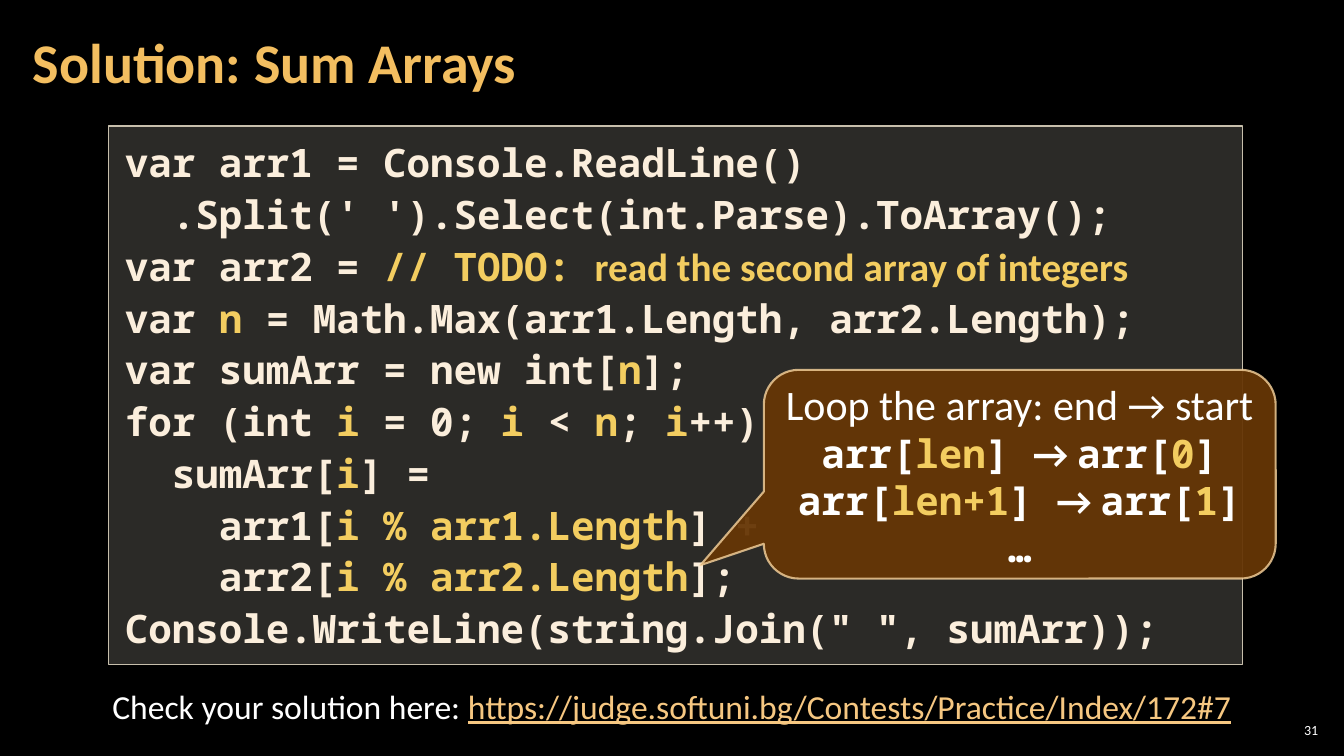
from dataclasses import dataclass

from lxml import etree
from pptx import Presentation
from pptx import util as u
from pptx.dml import color
from pptx.enum import shapes, text
from pptx.oxml import ns


@dataclass(frozen=True)
class Theme:
    sans: str = "Calibri"
    mono: str = "Noto Sans Mono"
    back: str = "000000"
    white: str = "FFFFFF"
    title: str = "F3BE60"
    code: str = "FBEEDC"
    mark: str = "F3CD60"
    link: str = "F6C781"
    panel: str = "D9D5C7"
    edge: str = "C7BFAC"
    note: str = "663606"
    rim: str = "F8D49E"
    head_size: int = 40
    lead_size: int = 30
    code_size: int = 28
    link_size: int = 24
    num_size: int = 10


THEME = Theme()
MARK, SANS = "|", "^"

CODE = [
    "var arr1 = Console.ReadLine()",
    "  .Split(' ').Select(int.Parse).ToArray();",
    "var arr2 = |// TODO: ||^read the second array of integers",
    "var |n| = Math.Max(arr1.Length, arr2.Length);",
    "var sumArr = new int[|n|];",
    "for (int |i| = 0; |i| < |n|; |i|++)",
    "  sumArr[|i|] =",
    "    arr1[|i % arr1.Length|] +",
    "    arr2[|i % arr2.Length|];",
    'Console.WriteLine(string.Join(" ", sumArr));',
]
LOOP = ["arr[|len|] ||^→ ||arr[|0|]", "arr[|len+1|] ||^→ ||arr[|1|]", "…"]


def rgb(tint):
    return color.RGBColor.from_string(tint)


def style(run, face, size, tint, bold=False):
    font = run.font
    font.name, font.size, font.bold = face, u.Pt(size), bold
    font.color.rgb = rgb(tint)


def fade(fill, alpha):
    tint = fill._xPr.find(".//" + ns.qn("a:srgbClr"))
    etree.SubElement(tint, ns.qn("a:alpha")).set("val", str(alpha * 1000))


def paint(shape, fill, alpha, line, width):
    shape.shadow.inherit = False
    shape.fill.solid()
    shape.fill.fore_color.rgb = rgb(fill)
    fade(shape.fill, alpha)
    shape.line.color.rgb = rgb(line)
    shape.line.width = u.Pt(width)


def frame(shape, side, edge, anchor):
    body = shape.text_frame
    body.word_wrap = True
    body.auto_size = text.MSO_AUTO_SIZE.NONE
    body.margin_left = body.margin_right = u.Cm(side)
    body.margin_top = body.margin_bottom = u.Cm(edge)
    body.vertical_anchor = anchor
    return body


def code_line(para, line, tint):
    for pos, part in enumerate(line.split(MARK)):
        if part:
            run = para.add_run()
            run.text = part.lstrip(SANS)
            face = THEME.sans if part.startswith(SANS) else THEME.mono
            style(run, face, THEME.code_size, THEME.mark if pos % 2 else tint, True)


def title(slide, box, words):
    head = slide.shapes.title
    head.left, head.top, head.width, head.height = map(u.Cm, box)
    body = frame(head, 0.3, 0.1, text.MSO_ANCHOR.MIDDLE)
    body.text = words
    para = body.paragraphs[0]
    para.alignment = text.PP_ALIGN.LEFT
    para.line_spacing = 0.9
    style(para.runs[0], THEME.sans, THEME.head_size, THEME.title, True)


def code_panel(slide, box, lines):
    panel = slide.shapes.add_shape(shapes.MSO_SHAPE.RECTANGLE, *map(u.Cm, box))
    paint(panel, THEME.panel, 20, THEME.edge, 1)
    body = frame(panel, 0.41, 0.2, text.MSO_ANCHOR.TOP)
    for pos, line in enumerate(lines):
        para = body.add_paragraph() if pos else body.paragraphs[0]
        para.alignment = text.PP_ALIGN.LEFT
        para.line_spacing = 1.1
        code_line(para, line, THEME.code)


def callout(slide, box, lead, lines):
    note = slide.shapes.add_shape(
        shapes.MSO_SHAPE.ROUNDED_RECTANGULAR_CALLOUT, *map(u.Cm, box))
    for pos, value in enumerate((-0.624, 0.436, 0.167)):
        note.adjustments[pos] = value
    paint(note, THEME.note, 95, THEME.rim, 1.5)
    fade(note.line.fill, 80)
    body = frame(note, 0.25, 0.13, text.MSO_ANCHOR.MIDDLE)
    body.text = lead
    style(body.paragraphs[0].runs[0], THEME.sans, THEME.lead_size, THEME.white)
    for line in lines:
        code_line(body.add_paragraph(), line, THEME.white)
    for para in body.paragraphs:
        para.alignment = text.PP_ALIGN.CENTER


def check_line(slide, box, label, link):
    note = slide.shapes.add_textbox(*map(u.Cm, box))
    body = frame(note, 0.25, 0.13, text.MSO_ANCHOR.TOP)
    body.text = label
    para = body.paragraphs[0]
    para.alignment = text.PP_ALIGN.CENTER
    style(para.runs[0], THEME.sans, THEME.link_size, THEME.white)
    run = para.add_run()
    run.text = link
    style(run, THEME.sans, THEME.link_size, THEME.link)
    run.font.underline = True


def page_number(slide, box, number):
    note = slide.shapes.add_textbox(*map(u.Cm, box))
    body = frame(note, 0.1, 0.1, text.MSO_ANCHOR.MIDDLE)
    body.text = number
    para = body.paragraphs[0]
    para.alignment = text.PP_ALIGN.RIGHT
    style(para.runs[0], THEME.sans, THEME.num_size, THEME.white)


def main():
    deck = Presentation()
    deck.slide_width, deck.slide_height = u.Cm(33.87), u.Cm(19.05)
    slide = deck.slides.add_slide(deck.slide_layouts.get_by_name("Title Only"))
    slide.background.fill.solid()
    slide.background.fill.fore_color.rgb = rgb(THEME.back)
    page_number(slide, (32.13, 18.14, 1.19, 0.53), "31")
    title(slide, (0.53, 0.1, 26.6, 3.07), "Solution: Sum Arrays")
    code_panel(slide, (2.74, 3.18, 28.58, 13.56), CODE)
    check_line(slide, (2.26, 17.15, 29.34, 1.27), "Check your solution here: ",
               "https://judge.softuni.bg/Contests/Practice/Index/172#7")
    callout(slide, (19.25, 9.32, 12.9, 5.26), "Loop the array: end → start", LOOP)
    deck.save("out.pptx")


if __name__ == "__main__":
    main()
